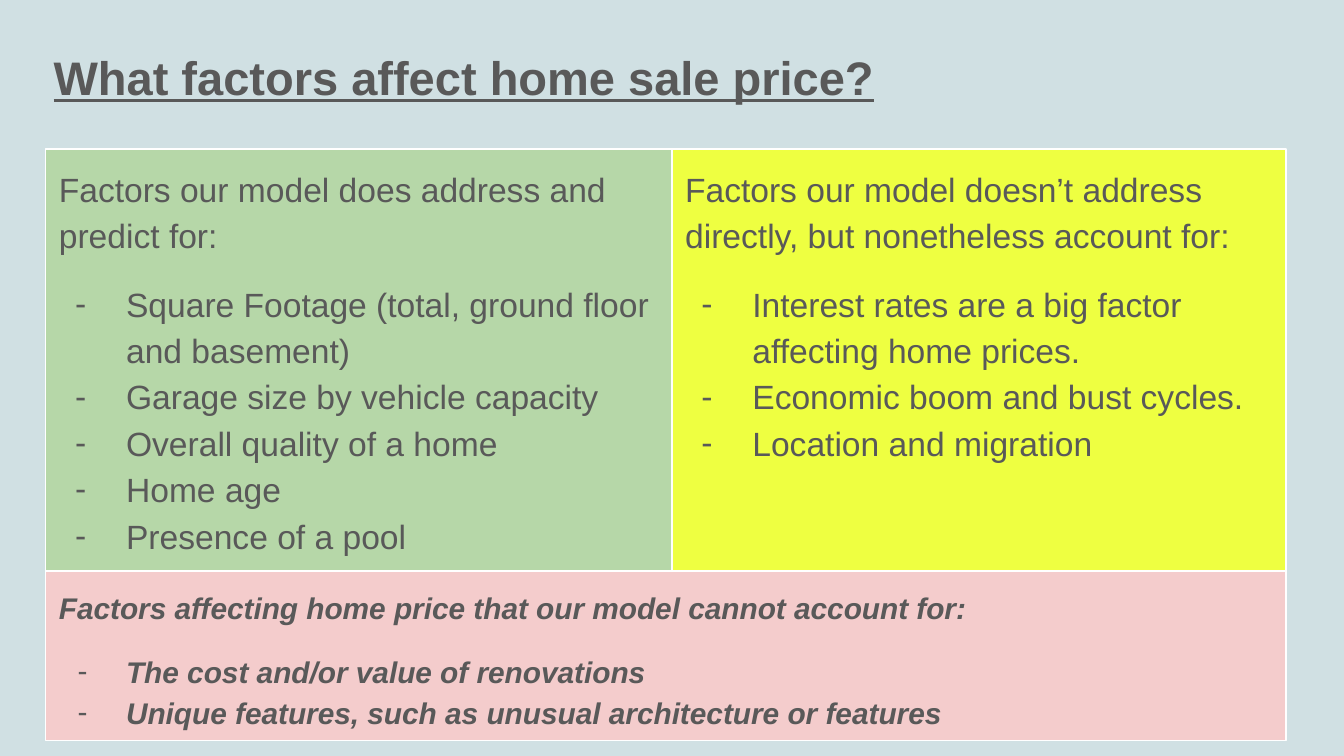
import pptx
import pptx.dml.color
import pptx.enum.shapes
import pptx.enum.text
import pptx.util
from lxml import etree
from pptx.oxml.ns import qn

Inches = pptx.util.Inches
Pt = pptx.util.Pt
RGBColor = pptx.dml.color.RGBColor
Anchor = pptx.enum.text.MSO_ANCHOR
AutoSize = pptx.enum.text.MSO_AUTO_SIZE

BACKGROUND = RGBColor(0xD0, 0xE0, 0xE3)
TEXT = RGBColor(0x59, 0x59, 0x59)
WHITE = RGBColor(0xFF, 0xFF, 0xFF)
GREEN = RGBColor(0xB6, 0xD7, 0xA8)
YELLOW = RGBColor(0xEE, 0xFF, 0x41)
PINK = RGBColor(0xF4, 0xCC, 0xCC)

TITLE = "What factors affect home sale price?"
TITLE_FORMAT = {"size": Pt(25.2), "bold": True, "underline": True}
COLUMN_FORMAT = {"size": Pt(18)}
FOOTER_FORMAT = {"size": Pt(16), "bold": True, "italic": True}

ADDRESSED = (
    "Factors our model does address and predict for:",
    [
        "Square Footage (total, ground floor and basement)",
        "Garage size by vehicle capacity",
        "Overall quality of a home",
        "Home age",
        "Presence of a pool",
    ],
)
INDIRECT = (
    "Factors our model doesn’t address directly, but nonetheless account for:",
    [
        "Interest rates are a big factor affecting home prices.",
        "Economic boom and bust cycles.",
        "Location and migration",
    ],
)
UNACCOUNTED = (
    "Factors affecting home price that our model cannot account for:",
    [
        "The cost and/or value of renovations",
        "Unique features, such as unusual architecture or features",
    ],
)

LEFT, MIDDLE, RIGHT = 0.34, 5, 9.57
TOP, SPLIT, BOTTOM = 1.11, 4.25, 5.51

# content, fill, text format, bullet hang, left, top, right, bottom
PANELS = [
    (ADDRESSED, GREEN, COLUMN_FORMAT, 0.38, LEFT, TOP, MIDDLE, SPLIT),
    (INDIRECT, YELLOW, COLUMN_FORMAT, 0.38, MIDDLE, TOP, RIGHT, SPLIT),
    (UNACCOUNTED, PINK, FOOTER_FORMAT, 0.36, LEFT, SPLIT, RIGHT, BOTTOM),
]


def set_frame(frame, anchor):
    """Give a text frame equal insets, wrapping and an anchor."""
    margins = {f"margin_{side}": Inches(0.1) for side in ("left", "top", "right", "bottom")}
    for name, value in {**margins, "word_wrap": True, "vertical_anchor": anchor}.items():
        setattr(frame, name, value)


def write(para, text, font_format):
    """Add one left-aligned run of text to a paragraph."""
    para.alignment = pptx.enum.text.PP_ALIGN.LEFT
    span = para.add_run()
    span.text = text
    span.font.color.rgb = TEXT
    for name, value in {"name": "Arial", **font_format}.items():
        setattr(span.font, name, value)


def add_dash(para, hang):
    """Turn a paragraph into a dash bullet with a hanging indent."""
    props = para._p.get_or_add_pPr()
    props.set("marL", str(Inches(0.5)))
    props.set("indent", str(-Inches(hang)))
    color = etree.SubElement(props, qn("a:buClr"))
    etree.SubElement(color, qn("a:srgbClr"), val=str(TEXT))
    etree.SubElement(props, qn("a:buFont"), typeface="Arial")
    etree.SubElement(props, qn("a:buChar"), char="-")


def add_panel(page, content, fill, font_format, hang, left, top, right, bottom):
    """Draw one filled panel with a heading and its dash list."""
    box = page.shapes.add_shape(
        pptx.enum.shapes.MSO_SHAPE.RECTANGLE,
        Inches(left), Inches(top), Inches(right - left), Inches(bottom - top),
    )
    box.shadow.inherit = False
    box.fill.solid()
    box.fill.fore_color.rgb = fill
    box.line.color.rgb = WHITE
    box.line.width = Pt(0.75)
    frame = box.text_frame
    set_frame(frame, Anchor.TOP)
    if font_format is FOOTER_FORMAT:
        frame.auto_size = AutoSize.SHAPE_TO_FIT_TEXT
    heading, items = content
    for index, text in enumerate([heading, *items]):
        para = frame.add_paragraph() if index else frame.paragraphs[0]
        para.line_spacing = 1.15
        para.space_before = Pt(12 if index == 1 else 0)
        if index:
            add_dash(para, hang)
        write(para, text, font_format)


deck = pptx.Presentation()
deck.slide_width = Inches(10)
deck.slide_height = deck.slide_width * 9 // 16
page = deck.slides.add_slide(deck.slide_layouts[6])
page.background.fill.solid()
page.background.fill.fore_color.rgb = BACKGROUND

title = page.shapes.add_textbox(Inches(0.3), Inches(0.25), Inches(9.32), Inches(0.63))
set_frame(title.text_frame, Anchor.BOTTOM)
write(title.text_frame.paragraphs[0], TITLE, TITLE_FORMAT)

for panel in PANELS:
    add_panel(page, *panel)

deck.save("out.pptx")
